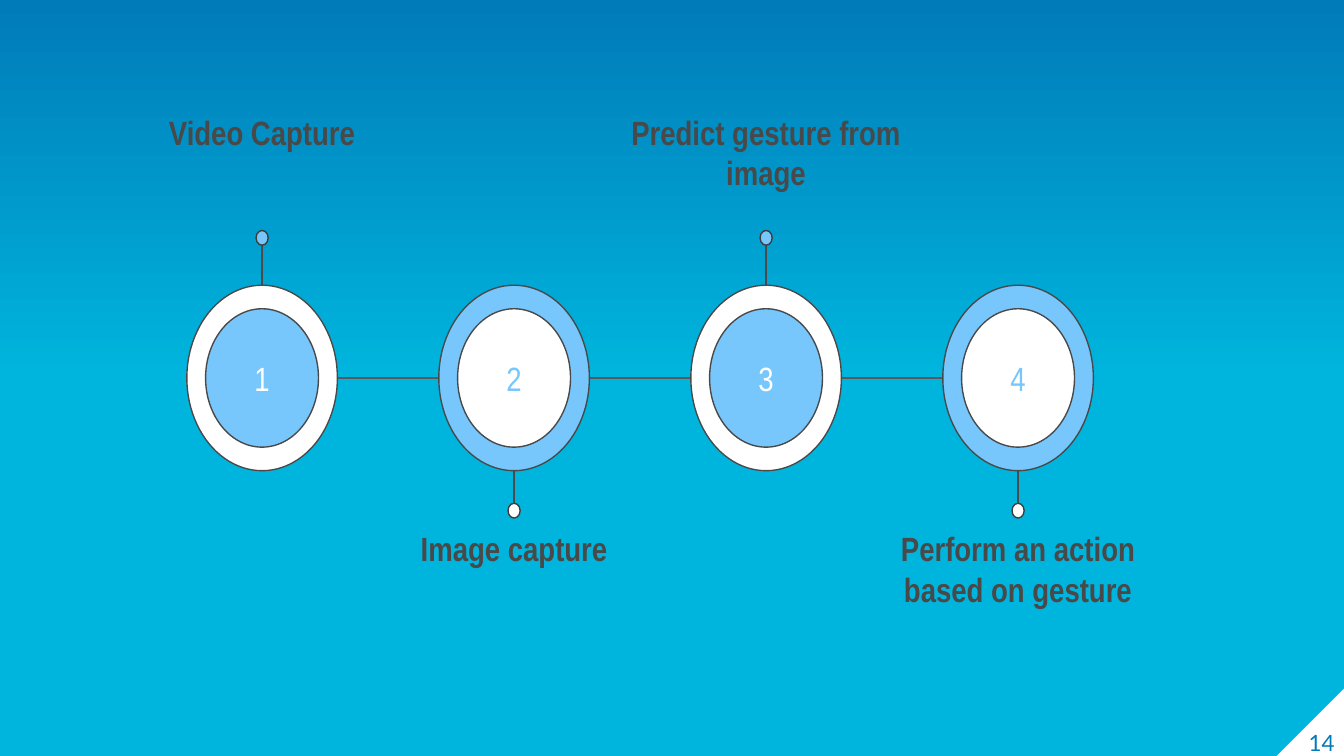
from copy import deepcopy
from dataclasses import dataclass

from lxml import etree
from pptx import Presentation, util as u
from pptx.dml.color import RGBColor
from pptx.enum import shapes, text
from pptx.oxml.ns import qn


@dataclass(frozen=True)
class Theme:
    """Colours, fonts and sizes of the slide."""
    sky: str = "00B5DD"
    deep: str = "007BB9"
    white: str = "FFFFFF"
    light: str = "77C6FC"
    ink: str = "494949"
    link: str = "595959"
    dot_edge: str = "3D3D3D"
    body_font: str = "Arial Narrow"
    page_font: str = "Lato"
    body_size: float = 18
    page_size: float = 12
    line_width: float = 0.75


THEME = Theme()
WIDTH = 10
HEIGHT = WIDTH * 9 / 16
FIRST_X, PITCH, AXIS_Y = 1.95, WIDTH * 3 / 16, HEIGHT / 2
RING, DISC, DOT = (1.12, 1.38), (0.84, 1.03), (0.09, 0.11)
LABEL, NUMBER = (2.54, 0.89), (0.81, 0.4)
STEPS = ("Video Capture", "Image capture", "Predict gesture from image",
         "Perform an action based on gesture")


def rgb(code):
    """Turn a hex code into a colour."""
    return RGBColor.from_string(code)


def paint_background(slide):
    """Fill the background with a gradient that darkens at the top."""
    fill = slide.background.fill
    fill.gradient()
    fill.gradient_angle = 90
    first = slide.background._cSld.find(".//" + qn("a:gs"))
    first.addnext(deepcopy(first))
    stops = ((0, THEME.sky), (0.5, THEME.sky), (1, THEME.deep))
    for stop, (position, colour) in zip(fill.gradient_stops, stops):
        stop.position = position
        stop.color.rgb = rgb(colour)


def add_line(slide, start, end, colour):
    """Draw a thin straight line between two points."""
    line = slide.shapes.add_connector(
        shapes.MSO_CONNECTOR.STRAIGHT, *map(u.Inches, (*start, *end)))
    line.line.color.rgb = rgb(colour)
    line.line.width = u.Pt(THEME.line_width)
    etree.SubElement(line._element.spPr, qn("a:effectLst"))


def add_oval(slide, centre, size, fill, edge):
    """Draw an outlined oval around a centre."""
    (x, y), (w, h) = centre, size
    oval = slide.shapes.add_shape(
        shapes.MSO_SHAPE.OVAL, *map(u.Inches, (x - w / 2, y - h / 2, w, h)))
    oval.shadow.inherit = False
    oval.fill.solid()
    oval.fill.fore_color.rgb = rgb(fill)
    oval.line.color.rgb = rgb(edge)
    oval.line.width = u.Pt(THEME.line_width)


def add_text(slide, box, words, colour, anchor=text.MSO_ANCHOR.TOP,
             align=text.PP_ALIGN.CENTER, font=THEME.body_font,
             size=THEME.body_size, bold=False, inset=0.1):
    """Write one wrapped paragraph in a box."""
    frame = slide.shapes.add_textbox(*map(u.Inches, box)).text_frame
    frame.word_wrap = True
    frame.vertical_anchor = anchor
    frame.margin_left = frame.margin_right = u.Inches(inset)
    frame.margin_top = frame.margin_bottom = u.Inches(inset)
    paragraph = frame.paragraphs[0]
    paragraph.text = words
    paragraph.alignment = align
    paragraph.font.name = font
    paragraph.font.size = u.Pt(size)
    paragraph.font.bold = bold
    paragraph.font.color.rgb = rgb(colour)


def add_page_corner(slide, number):
    """Draw the folded corner with the page number."""
    side = 0.51
    top = HEIGHT - side
    corner = slide.shapes.add_shape(
        shapes.MSO_SHAPE.RIGHT_TRIANGLE,
        *map(u.Inches, (WIDTH - side + 0.01, top, side, side)))
    corner._element.spPr.xfrm.set("flipH", "1")
    corner.shadow.inherit = False
    corner.fill.solid()
    corner.fill.fore_color.rgb = rgb(THEME.white)
    corner.line.fill.background()
    add_text(slide, (9.43, top, 0.5, side), number, THEME.deep,
             text.MSO_ANCHOR.BOTTOM, text.PP_ALIGN.RIGHT,
             THEME.page_font, THEME.page_size, inset=0)


def add_step(slide, index, label):
    """Draw a numbered ring with its stem, dot and label."""
    x = FIRST_X + index * PITCH
    above = index % 2 == 0
    ring, disc = ((THEME.white, THEME.light) if above
                  else (THEME.light, THEME.white))
    dot_y, label_y = (1.77, 0.73) if above else (3.8, 3.83)
    ring_y = AXIS_Y + (-1 if above else 1) * RING[1] / 2

    add_line(slide, (x, ring_y), (x, dot_y), THEME.ink)
    add_oval(slide, (x, AXIS_Y), RING, ring, THEME.ink)
    add_oval(slide, (x, AXIS_Y), DISC, disc, THEME.ink)
    add_oval(slide, (x, dot_y), DOT, disc, THEME.dot_edge)
    add_text(slide, (x - NUMBER[0] / 2, AXIS_Y - NUMBER[1] / 2, *NUMBER),
             str(index + 1), ring, text.MSO_ANCHOR.MIDDLE)
    add_text(slide, (x - LABEL[0] / 2, label_y, *LABEL), label,
             THEME.ink, bold=True)


def main():
    """Build and save the process slide."""
    deck = Presentation()
    deck.slide_width, deck.slide_height = u.Inches(WIDTH), u.Inches(HEIGHT)
    slide = deck.slides.add_slide(deck.slide_layouts[6])
    paint_background(slide)
    add_page_corner(slide, "14")
    for index in range(len(STEPS) - 1):
        left = FIRST_X + index * PITCH + RING[0] / 2
        right = left + PITCH - RING[0]
        add_line(slide, (left, AXIS_Y), (right, AXIS_Y), THEME.link)
    for index, label in enumerate(STEPS):
        add_step(slide, index, label)
    deck.save("out.pptx")


if __name__ == "__main__":
    main()
